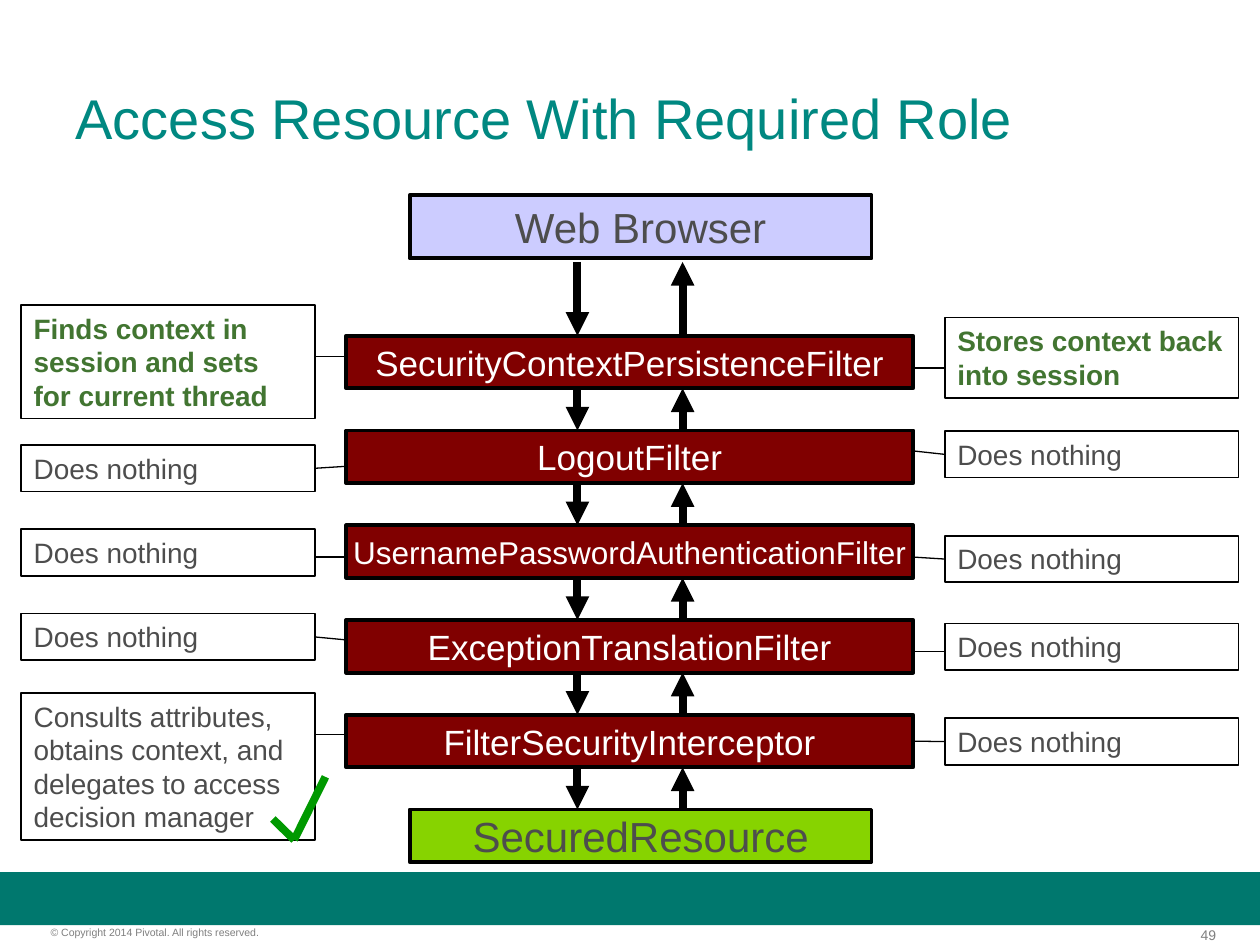
from lxml import etree
from pptx import Presentation
from pptx.dml.color import RGBColor
from pptx.enum.shapes import MSO_CONNECTOR, MSO_SHAPE
from pptx.enum.text import MSO_ANCHOR as ANCHOR, MSO_AUTO_SIZE, PP_ALIGN as ALIGN
from pptx.oxml.ns import qn
from pptx.util import Cm, Pt

COLORS = {
    "title": "008881", "bar": "00786E", "footer": "7F7F7F", "text": "4D4D4D",
    "active": "427531", "check": "009900", "browser": "CCCCFF",
    "filter": "800000", "resource": "87D300", "black": "000000", "white": "FFFFFF",
}
FONT = "Arial"

TITLE = "Access Resource With Required Role"
COPYRIGHT = "© Copyright 2014 Pivotal. All rights reserved."
PAGE = "49"

FILTERS = [  # name, text size
    ("SecurityContextPersistenceFilter", 20),
    ("LogoutFilter", 20),
    ("UsernamePasswordAuthenticationFilter", 18),
    ("ExceptionTranslationFilter", 20),
    ("FilterSecurityInterceptor", 20),
]
IDLE = "Does nothing"
# One note per filter: text, top, height, height of its leader line (cm)
REQUEST_NOTES = [
    ("Finds context in session and sets for current thread", 6.15, 2.29, 7.19),
    (IDLE, 8.97, 0.94, 9.4),
    (IDLE, 10.67, 0.94, 11.23),
    (IDLE, 12.37, 0.94, 12.9),
    ("Consults attributes, obtains context, and delegates to access decision manager",
     13.97, 2.97, 14.81),
]
RESPONSE_NOTES = [
    ("Stores context back into session", 6.4, 1.63, 7.42),
    (IDLE, 8.69, 0.94, 9.09),
    (IDLE, 10.8, 0.94, 11.23),
    (IDLE, 12.57, 0.94, 13.13),
    (IDLE, 14.48, 0.94, 14.91),
]
CHECK_MARK = [(5.5, 16.51), (5.93, 16.93), (6.56, 15.66)]

# Layout in cm
FILTER_X, FILTER_W, FILTER_H = 6.98, 11.43, 1.06
FIRST_TOP, PITCH = 6.77, 1.91
END_X, END_W = 8.26, 9.31
NOTE_W, REQUEST_X, RESPONSE_X = 5.92, 0.43, 19.05
DOWN_X, UP_X = 11.64, 13.76
JOIN_TOLERANCE = 0.07
LEFT_SIDE, RIGHT_SIDE = 1, 3


def rgb(name):
    return RGBColor.from_string(COLORS[name])


def set_text(sp, text, size, color, align=ALIGN.LEFT, anchor=ANCHOR.TOP,
             bold=False, wrap=True):
    tf = sp.text_frame
    tf.text = text
    tf.word_wrap = wrap
    tf.auto_size = MSO_AUTO_SIZE.NONE
    tf.vertical_anchor = anchor
    p = tf.paragraphs[0]
    p.alignment = align
    font = p.runs[0].font
    font.name, font.size, font.bold = FONT, Pt(size), bold
    font.color.rgb = rgb(color)


def add_box(slide, x, y, w, h, fill, line_width=None):
    sp = slide.shapes.add_shape(MSO_SHAPE.RECTANGLE, Cm(x), Cm(y), Cm(w), Cm(h))
    sp.shadow.inherit = False
    sp.fill.solid()
    sp.fill.fore_color.rgb = rgb(fill)
    if line_width:
        sp.line.color.rgb = rgb("black")
        sp.line.width = Pt(line_width)
    else:
        sp.line.fill.background()
    return sp


def add_stage(slide, x, y, w, h, fill, text, size, color):
    sp = add_box(slide, x, y, w, h, fill, 2.25)
    set_text(sp, text, size, color, ALIGN.CENTER, ANCHOR.MIDDLE, wrap=False)
    return sp


def add_line(slide, start, end, width, color="black", arrow=False):
    line = slide.shapes.add_connector(
        MSO_CONNECTOR.STRAIGHT, *(Cm(v) for v in (*start, *end)))
    line.line.color.rgb = rgb(color)
    line.line.width = Pt(width)
    if arrow:
        etree.SubElement(line.line._get_or_add_ln(), qn("a:tailEnd"), type="triangle")
    etree.SubElement(line._element.spPr, qn("a:effectLst"))
    return line


def add_footer(slide, x, w, h, text, size, align):
    sp = slide.shapes.add_textbox(Cm(x), Cm(18.67), Cm(w), Cm(h))
    set_text(sp, text, size, "footer", align)
    tf = sp.text_frame
    tf.margin_left = tf.margin_right = tf.margin_top = tf.margin_bottom = 0


def add_notes(slide, notes, filters, on_left):
    """Add one column of notes; leaders join boxes whose mid-side they meet."""
    x = REQUEST_X if on_left else RESPONSE_X
    for (text, top, height, y), stage in zip(notes, filters):
        active = text != IDLE and "context" in text and "delegates" not in text
        note = add_box(slide, x, top, NOTE_W, height, "white", 1)
        set_text(note, text, 16, "active" if active else "text", bold=active)
        if on_left:
            start, end, first, last = x + NOTE_W, FILTER_X, note, stage
        else:
            start, end, first, last = FILTER_X + FILTER_W, x, stage, note
        leader = add_line(slide, (start, y), (end, y), 0.75)
        for sp, connect, side in ((first, leader.begin_connect, RIGHT_SIDE),
                                  (last, leader.end_connect, LEFT_SIDE)):
            if abs(sp.top + sp.height / 2 - Cm(y)) <= Cm(JOIN_TOLERANCE):
                connect(sp, side)


def main():
    prs = Presentation()
    prs.slide_width, prs.slide_height = Cm(25.4), Cm(19.05)
    slide = prs.slides.add_slide(prs.slide_layouts[5])

    title = slide.shapes.title
    title.left, title.top, title.width, title.height = (
        Cm(v) for v in (1.27, 1.55, 22.86, 1.63))
    set_text(title, TITLE, 32, "title", anchor=ANCHOR.MIDDLE)

    add_box(slide, 0, 17.58, 25.4, 1.07, "bar")
    add_footer(slide, 23.05, 1.47, 0.33, PAGE, 8, ALIGN.RIGHT)
    add_footer(slide, 1.02, 6.32, 0.25, COPYRIGHT, 6, ALIGN.LEFT)

    tops = [FIRST_TOP + i * PITCH for i in range(len(FILTERS) + 1)]
    add_stage(slide, END_X, 3.94, END_W, 1.27, "browser", "Web Browser", 24, "text")
    add_stage(slide, END_X, tops[-1], END_W, FILTER_H, "resource",
              "SecuredResource", 24, "text")
    filters = [add_stage(slide, FILTER_X, top, FILTER_W, FILTER_H, "filter",
                         name, size, "white")
               for (name, size), top in zip(FILTERS, tops)]

    gap_starts = [5.28] + [top + FILTER_H for top in tops[:-1]]
    for upper, lower in zip(gap_starts, tops):
        add_line(slide, (DOWN_X, upper), (DOWN_X, lower), 4.5, arrow=True)
        add_line(slide, (UP_X, lower), (UP_X, upper), 4.5, arrow=True)

    add_notes(slide, REQUEST_NOTES, filters, on_left=True)
    add_notes(slide, RESPONSE_NOTES, filters, on_left=False)

    for start, end in zip(CHECK_MARK, CHECK_MARK[1:]):
        add_line(slide, start, end, 4.5, "check")

    prs.save("out.pptx")


if __name__ == "__main__":
    main()
